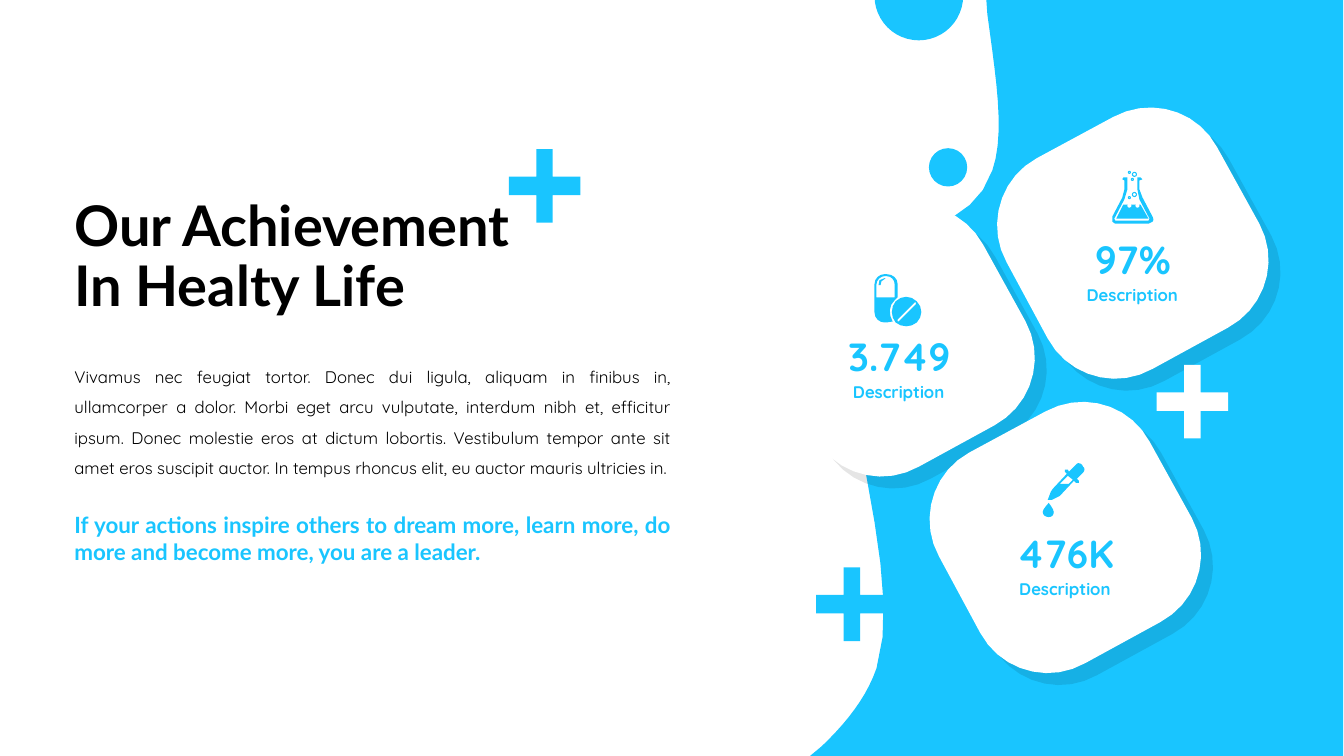
"""Build the healthy life achievement slide with three statistic tiles."""
from lxml import etree
from pptx import Presentation
from pptx import util as u
from pptx.dml.color import RGBColor
from pptx.enum import shapes, text
from pptx.oxml.ns import qn

COLORS = {"blue": "19C5FF", "white": "FFFFFF", "black": "000000"}

# Path coordinates are hundredths of an inch.
WAVE = """M 979 0 L 1333 0 L 1333 750 L 804 750 L 816 740 C 840 717 860 692 870 663
C 900 569 824 381 843 298 C 863 216 960 244 985 169 C 998 132 988 74 980 14 Z"""
TILE = """M 116 10 C 153 -10 199 3 219 40 L 261 116 C 281 153 267 199 230 219
L 155 260 C 118 281 71 267 51 230 L 10 154 C -10 118 3 71 40 51 Z"""
FLASK = """M 41 51 L 37 53 L 4 53 L 1 51 L 1 46 L 11 27 L 13 19 L 13 10 L 11 9 L 12 7
L 16 7 L 16 19 L 13 29 L 3 48 L 4 50 L 37 50 L 38 48 L 28 29 L 26 19 L 26 7
L 29 7 L 31 9 L 28 10 L 28 19 L 31 27 L 41 46 C 42 48 42 50 41 51 Z
M 12 34 L 29 34 L 37 48 L 5 48 Z"""
DROPPER = """M 40 4 L 39 2 C 37 0 34 0 33 2 L 26 9 L 25 7 L 22 7 L 22 9 L 24 11
L 10 26 L 8 29 L 5 37 L 9 37 L 13 35 L 17 33 L 31 18 L 33 20 L 36 20 L 36 18
L 34 16 L 40 10 C 42 8 42 5 40 4 Z M 26 21 L 17 21 L 25 13 L 30 17 Z
M 6 40 C 6 40 11 46 11 49 C 11 52 9 54 6 54 C 3 54 0 52 0 49 C 0 46 6 40 6 40 Z"""
PILLS = """M 11 4 L 10 5 L 7 7 L 6 11 L 4 11 L 5 6 L 10 4 Z
M 18 47 L 12 48 L 10 48 C 5 48 0 44 0 38 L 0 10 C 0 4 5 0 10 0 L 12 0
C 18 0 23 4 23 10 L 23 23 L 20 26 C 14 31 14 40 18 47 Z
M 20 23 L 20 10 C 20 6 17 2 12 2 L 10 2 C 6 2 2 6 2 10 L 2 23 Z
M 42 48 C 36 53 27 53 21 48 C 16 42 16 33 21 27 C 27 21 36 21 42 27
C 48 33 48 42 42 48 Z
M 41 28 L 40 28 L 23 45 L 23 47 L 24 47 L 41 30 Z"""

prs = Presentation()
prs.slide_width, prs.slide_height = u.Inches(13.34), u.Inches(7.5)
s = prs.slides.add_slide(prs.slide_layouts[5])


def draw(outline, left, top, color, steps):
    """Draw a filled outline, with each curve flattened into a few steps."""
    builder, pen = None, (0, 0)
    tokens = iter(outline.split())
    for cmd in tokens:
        if cmd == "Z":
            builder.add_line_segments([], close=True)
            continue
        pts = [(u.Inches(left + int(next(tokens)) / 100),
                u.Inches(top + int(next(tokens)) / 100))
               for _ in range(3 if cmd == "C" else 1)]
        if cmd == "M" and builder is None:
            builder = s.shapes.build_freeform(*pts[0])
        elif cmd == "M":
            builder.move_to(*pts[0])
        elif cmd == "L":
            builder.add_line_segments(pts, close=False)
        else:
            curve = [[(1 - t) ** 3 * a + 3 * (1 - t) ** 2 * t * b
                      + 3 * (1 - t) * t ** 2 * c + t ** 3 * d
                      for a, b, c, d in zip(pen, *pts)]
                     for t in [n / steps for n in range(1, steps + 1)]]
            builder.add_line_segments(curve, close=False)
        pen = pts[-1]
    sp = builder.convert_to_shape()
    sp.shadow.inherit = False
    sp.fill.solid()
    sp.fill.fore_color.rgb = RGBColor.from_string(COLORS[color])
    sp.line.fill.background()
    return sp


def write(sp, words, font, size, color, align, bold=True, spacing=None, anchor="TOP"):
    """Set and format the only paragraph of a shape."""
    tf = sp.text_frame
    tf.word_wrap = True
    tf.auto_size = text.MSO_AUTO_SIZE.NONE
    tf.vertical_anchor = text.MSO_ANCHOR[anchor]
    p = tf.paragraphs[0]
    p.text = words
    p.alignment = text.PP_ALIGN[align]
    if spacing:
        p.line_spacing = spacing
    f = p.runs[0].font
    f.name, f.size, f.bold = font, u.Pt(size), bold
    f.color.rgb = RGBColor.from_string(COLORS[color])


draw(WAVE, 0, 0, "blue", 10)

tiles = [
    (7.57, 2.03, "3.749", PILLS, 8.68, 2.72),
    (9.22, 3.98, "476K", DROPPER, 10.35, 4.59),
    (9.89, 1.06, "97%", FLASK, 11.03, 1.69),
]
for left, top, number, icon, icon_left, icon_top in tiles:
    sp = draw(TILE, left, top, "white", 9)
    effects = sp._element.spPr.find(qn("a:effectLst"))
    shadow = etree.SubElement(effects, qn("a:outerShdw"), dist=str(u.Pt(12.1)),
                              dir="2700000", algn="tl", rotWithShape="0")
    tint = etree.SubElement(shadow, qn("a:srgbClr"), val=COLORS["black"])
    etree.SubElement(tint, qn("a:alpha"), val="10000")
    for words, size, dx, dy, width, height in [
            ("Description", 12, 0.72, 1.71, 1.26, 0.3),
            (number, 28, 0.6, 1.22, 1.51, 0.57)]:
        sp = s.shapes.add_textbox(u.Inches(left + dx), u.Inches(top + dy),
                                  u.Inches(width), u.Inches(height))
        write(sp, words, "Quicksand", size, "blue", "CENTER", anchor="MIDDLE")
    draw(icon, icon_left, icon_top, "blue", 4)

for left, top, color in [(11.48, 3.62, "white"), (8.1, 5.63, "blue"), (5.05, 1.48, "blue")]:
    sp = s.shapes.add_shape(shapes.MSO_SHAPE.CROSS, u.Inches(left), u.Inches(top),
                            u.Inches(0.71), u.Inches(0.73))
    sp.adjustments[0] = 0.385
    sp.shadow.inherit = False
    sp.fill.solid()
    sp.fill.fore_color.rgb = RGBColor.from_string(COLORS[color])
    sp.line.fill.background()

discs = [(9.41, 1.66, 0.19, "blue"), (9.12, -0.04, 0.44, "blue"),
         (11.21, 2.04, 0.02, "white"), (11.29, 2.04, 0.02, "white")]
bubbles = [(11.26, 1.93, 0.02, None), (11.26, 1.73, 0.02, None),
           (11.21, 1.96, 0.01, None), (11.21, 1.71, 0.01, None), (11.24, 1.78, 0.01, None)]
for x, y, radius, color in discs + bubbles:
    sp = s.shapes.add_shape(shapes.MSO_SHAPE.OVAL, u.Inches(x - radius), u.Inches(y - radius),
                            u.Inches(2 * radius), u.Inches(2 * radius))
    sp.shadow.inherit = False
    if color:
        sp.fill.solid()
        sp.fill.fore_color.rgb = RGBColor.from_string(COLORS[color])
        sp.line.fill.background()
    else:
        sp.fill.background()
        sp.line.color.rgb = RGBColor.from_string(COLORS["blue"])
        sp.line.width = u.Pt(0.75)

body = ("Vivamus nec feugiat tortor. Donec dui ligula, aliquam in finibus in, ullamcorper a "
        "dolor. Morbi eget arcu vulputate, interdum nibh et, efficitur ipsum. Donec molestie "
        "eros at dictum lobortis. Vestibulum tempor ante sit amet eros suscipit auctor. In "
        "tempus rhoncus elit, eu auctor mauris ultricies in.")
sp = s.shapes.add_textbox(u.Inches(0.64), u.Inches(3.49), u.Inches(6.12), u.Inches(1.3))
write(sp, body, "Quicksand", 12, "black", "JUSTIFY", bold=False, spacing=1.5)

quote = ("If your actions inspire others to dream more, learn more, do more and become more, "
         "you are a leader.")
sp = s.shapes.add_textbox(u.Inches(0.64), u.Inches(5.02), u.Inches(6.12), u.Inches(0.64))
write(sp, quote, "Lato", 16, "blue", "JUSTIFY")

title = s.shapes.title
title.left, title.top = u.Inches(0.64), u.Inches(1.84)
title.width, title.height = u.Inches(5.09), u.Inches(1.45)
write(title, "Our Achievement In Healty Life", "Lato", 40, "black", "LEFT",
      spacing=0.9, anchor="MIDDLE")
title.text_frame.margin_right = u.Inches(0.3)

prs.save("out.pptx")
